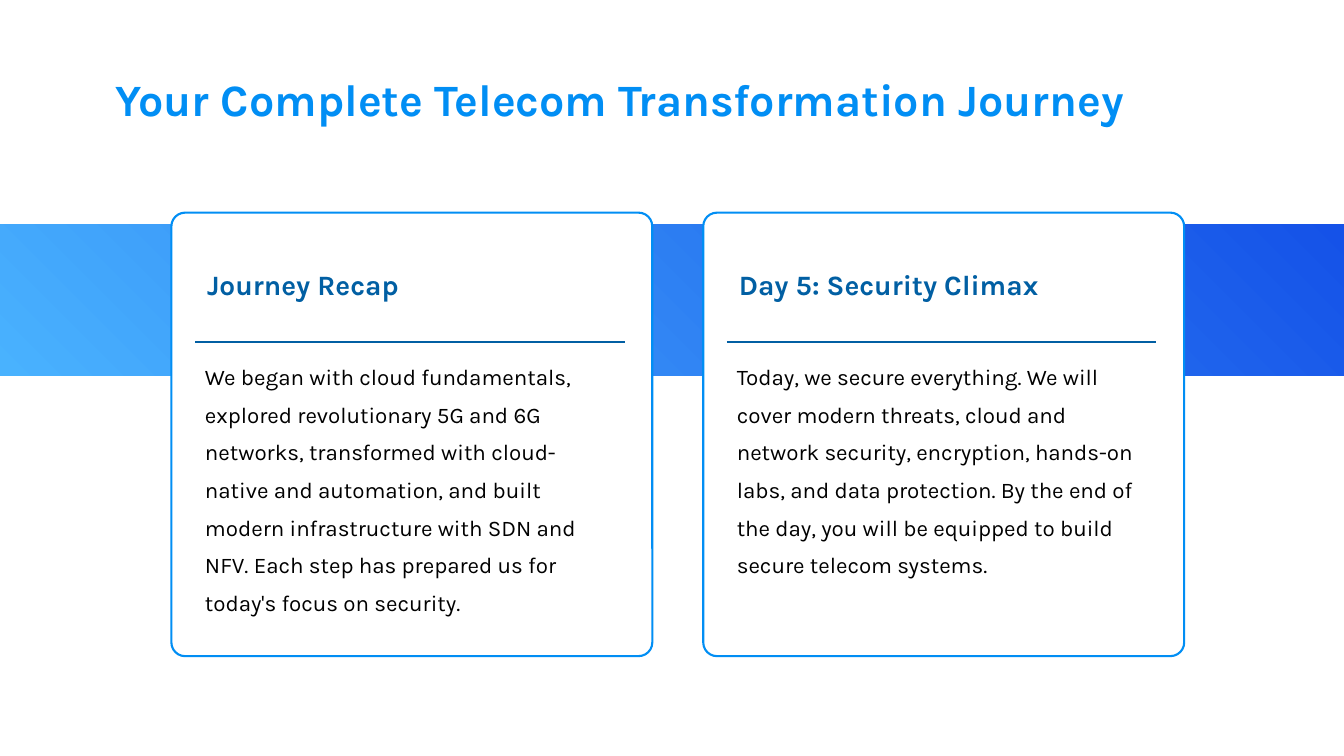
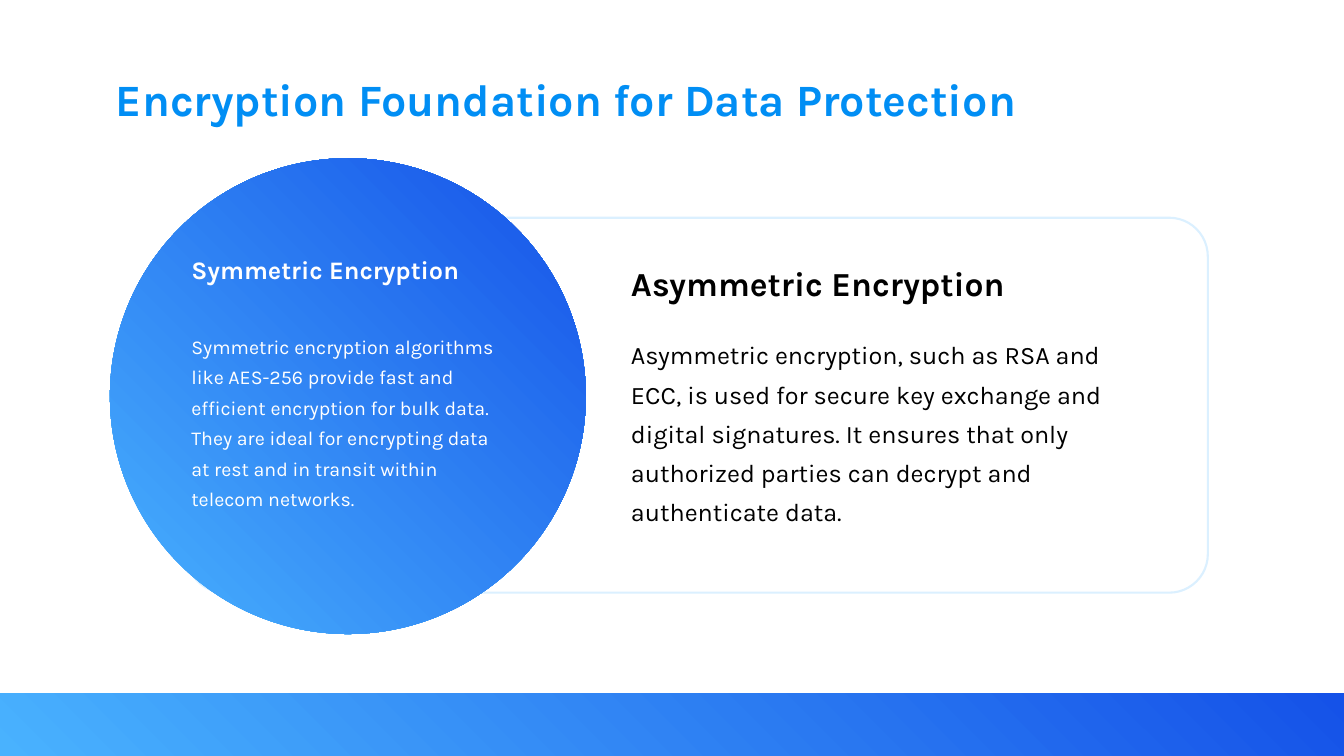
from lxml import etree
from pptx import Presentation
from pptx.dml.color import RGBColor
from pptx.enum import shapes, text
from pptx.oxml.ns import qn
from pptx.util import Inches, Pt

FONT = "Karla"
SKY, ROYAL = "49B2FE", "1552E8"
ACCENT, DEEP, PALE = "018EF4", "015FA3", "DBF0FF"
WHITE, BLACK = "FFFFFF", "000000"
SLIDE_W, SLIDE_H = 13.33, 7.5
LINE_W = 1.5

CARD_LEFT, CARD_TOP, CARD_W, CARD_H = 1.7, 2.11, 4.77, 4.4
CARD_STEP = 5.275
CARDS = [
    ("Journey Recap",
     "We began with cloud fundamentals, explored revolutionary 5G and 6G networks, "
     "transformed with cloud-native and automation, and built modern infrastructure "
     "with SDN and NFV. Each step has prepared us for today's focus on security."),
    ("Day 5: Security Climax",
     "Today, we secure everything. We will cover modern threats, cloud and network "
     "security, encryption, hands-on labs, and data protection. By the end of the "
     "day, you will be equipped to build secure telecom systems."),
]
SYMMETRIC = (
    "Symmetric encryption algorithms like AES-256 provide fast and efficient "
    "encryption for bulk data. They are ideal for encrypting data at rest and in "
    "transit within telecom networks.")
ASYMMETRIC = (
    "Asymmetric encryption, such as RSA and ECC, is used for secure key exchange and "
    "digital signatures. It ensures that only authorized parties can decrypt and "
    "authenticate data.")


def rgb(color):
    return RGBColor.from_string(color)


def add_text(slide, content, left, top, width, height, size, color,
             bold=False, spacing=None, align=None):
    frame = slide.shapes.add_textbox(
        Inches(left), Inches(top), Inches(width), Inches(height)).text_frame
    frame.word_wrap = True
    frame.auto_size = text.MSO_AUTO_SIZE.SHAPE_TO_FIT_TEXT
    paragraph = frame.paragraphs[0]
    paragraph.text = content
    paragraph.line_spacing = spacing
    paragraph.alignment = align
    font = paragraph.font
    font.name, font.size, font.bold = FONT, Pt(size), bold
    font.color.rgb = rgb(color)


def add_panel(slide, kind, left, top, width, height):
    panel = slide.shapes.add_shape(
        kind, Inches(left), Inches(top), Inches(width), Inches(height))
    panel.shadow.inherit = False
    return panel


def add_gradient_panel(slide, kind, left, top, width, height):
    """Borderless shape, light at bottom left and dark at top right."""
    panel = add_panel(slide, kind, left, top, width, height)
    panel.line.fill.background()
    panel.fill.gradient()
    panel.fill.gradient_angle = 45
    for stop, color in zip(panel.fill.gradient_stops, (SKY, ROYAL)):
        stop.color.rgb = rgb(color)


def add_outlined_panel(slide, left, top, width, height, rounding, color):
    panel = add_panel(slide, shapes.MSO_SHAPE.ROUNDED_RECTANGLE,
                      left, top, width, height)
    panel.adjustments[0] = rounding
    panel.fill.solid()
    panel.fill.fore_color.rgb = rgb(WHITE)
    panel.line.color.rgb = rgb(color)
    panel.line.width = Pt(LINE_W)


def add_rule(slide, left, top, width):
    rule = slide.shapes.add_connector(
        shapes.MSO_CONNECTOR.STRAIGHT,
        Inches(left), Inches(top), Inches(left + width), Inches(top))
    rule.line.color.rgb = rgb(DEEP)
    rule.line.width = Pt(LINE_W)
    etree.SubElement(rule._element.spPr, qn("a:effectLst"))


def add_titled_slide(deck, title, band_top, band_height):
    slide = deck.slides.add_slide(deck.slide_layouts[6])
    add_text(slide, title, 1.05, 0.66, 10.72, 0.55, 32, ACCENT, bold=True)
    add_gradient_panel(slide, shapes.MSO_SHAPE.RECTANGLE,
                       0, band_top, SLIDE_W, band_height)
    return slide


def add_card(slide, left, heading, body):
    add_outlined_panel(slide, left, CARD_TOP, CARD_W, CARD_H, 0.031, ACCENT)
    inner = left + 0.235
    add_rule(slide, inner, 3.39, 4.26)
    add_text(slide, heading, inner + 0.02, 2.6, 4.26, 0.34, 20, DEEP,
             bold=True, align=text.PP_ALIGN.JUSTIFY)
    add_text(slide, body, inner, 3.45, 4.26, 2.61, 16, BLACK, spacing=1.4)


def build_journey(deck):
    slide = add_titled_slide(
        deck, "Your Complete Telecom Transformation Journey", 2.23, 1.5)
    for index, (heading, body) in enumerate(CARDS):
        add_card(slide, CARD_LEFT + index * CARD_STEP, heading, body)


def build_encryption(deck):
    slide = add_titled_slide(
        deck, "Encryption Foundation for Data Protection", 6.88, 0.62)
    add_outlined_panel(slide, 1.85, 2.16, 10.13, 3.72, 0.103, PALE)
    add_gradient_panel(slide, shapes.MSO_SHAPE.OVAL, 1.09, 1.57, 4.72, 4.72)
    add_text(slide, "Symmetric Encryption", 1.8, 2.47, 3.3, 0.31, 18, WHITE, bold=True)
    add_text(slide, SYMMETRIC, 1.8, 3.2, 3.3, 1.88, 14, WHITE, spacing=1.3)
    add_text(slide, "Asymmetric Encryption", 6.16, 2.56, 5.08, 0.4, 24, BLACK, bold=True)
    add_text(slide, ASYMMETRIC, 6.16, 3.23, 5.35, 1.95, 18, BLACK, spacing=1.3)


def main():
    deck = Presentation()
    deck.slide_width, deck.slide_height = Inches(SLIDE_W), Inches(SLIDE_H)
    build_journey(deck)
    build_encryption(deck)
    deck.save("out.pptx")


if __name__ == "__main__":
    main()
